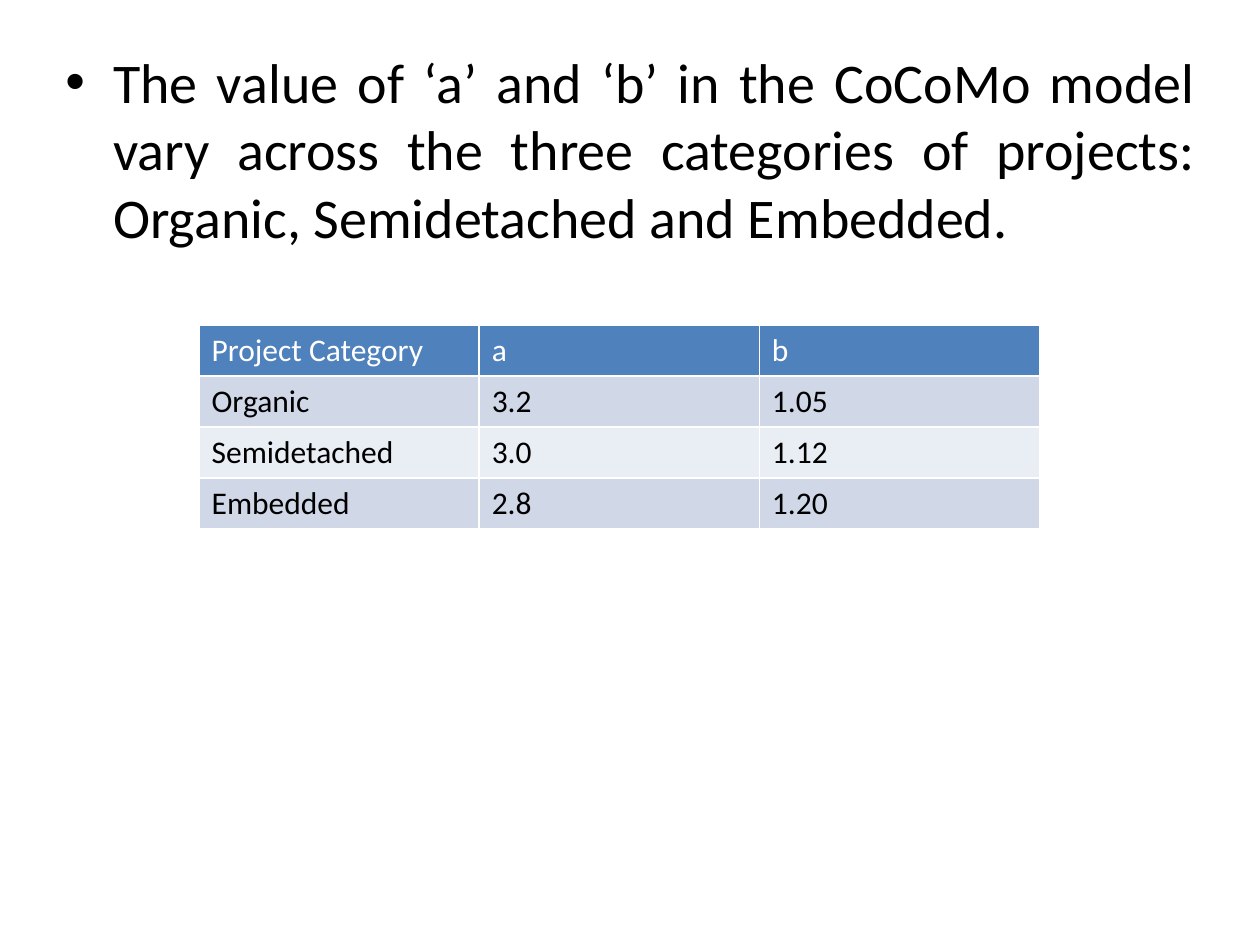
from lxml import etree
from pptx import Presentation
from pptx.dml.color import RGBColor
from pptx.enum.text import PP_ALIGN
from pptx.oxml.ns import qn
from pptx.util import Inches, Pt

JUSTIFY = PP_ALIGN.JUSTIFY
BLACK = RGBColor(0x00, 0x00, 0x00)
WHITE = RGBColor(0xFF, 0xFF, 0xFF)
HEADER_BLUE = RGBColor(0x4F, 0x81, 0xBD)
BAND_DARK = RGBColor(0xD0, 0xD8, 0xE8)
BAND_LIGHT = RGBColor(0xE9, 0xED, 0xF4)

STATEMENT = (
    "The value of ‘a’ and ‘b’ in the CoCoMo model vary across the three "
    "categories of projects: Organic, Semidetached and Embedded."
)
COEFFICIENTS = [
    ("Project Category", "a", "b"),
    ("Organic", "3.2", "1.05"),
    ("Semidetached", "3.0", "1.12"),
    ("Embedded", "2.8", "1.20"),
]


def format_font(font, size, color):
    values = {"name": "Calibri", "size": Pt(size), "bold": False}
    for name, value in values.items():
        setattr(font, name, value)
    font.color.rgb = color


def add_bullet(para, indent):
    properties = para._p.get_or_add_pPr()
    properties.set("marL", str(indent))
    properties.set("indent", str(-indent))
    etree.SubElement(properties, qn("a:buFont"), typeface="Arial")
    etree.SubElement(properties, qn("a:buChar"), char="•")


def add_statement(page, text):
    box = page.shapes.add_textbox(
        Inches(0.42), Inches(0.33), Inches(9.17), Inches(6.83)
    )
    box.text_frame.word_wrap = True
    para = box.text_frame.paragraphs[0]
    para.alignment = JUSTIFY
    add_bullet(para, Inches(0.38))
    span = para.add_run()
    span.text = text
    format_font(span.font, 32, BLACK)


def row_colors(row_index):
    if row_index == 0:
        return HEADER_BLUE, WHITE
    return (BAND_DARK if row_index % 2 else BAND_LIGHT), BLACK


def add_coefficient_table(page, rows):
    table = page.shapes.add_table(
        len(rows), len(rows[0]),
        Inches(1.58), Inches(2.58), Inches(6.67), Inches(1.62),
    ).table
    for row_index, values in enumerate(rows):
        fill_color, text_color = row_colors(row_index)
        for column_index, value in enumerate(values):
            cell = table.cell(row_index, column_index)
            cell.fill.solid()
            cell.fill.fore_color.rgb = fill_color
            span = cell.text_frame.paragraphs[0].add_run()
            span.text = value
            format_font(span.font, 18, text_color)


def main():
    deck = Presentation()
    deck.slide_width = Inches(10)
    deck.slide_height = Inches(7.5)
    page = deck.slides.add_slide(deck.slide_layouts[6])
    add_statement(page, STATEMENT)
    add_coefficient_table(page, COEFFICIENTS)
    deck.save("out.pptx")


if __name__ == "__main__":
    main()
